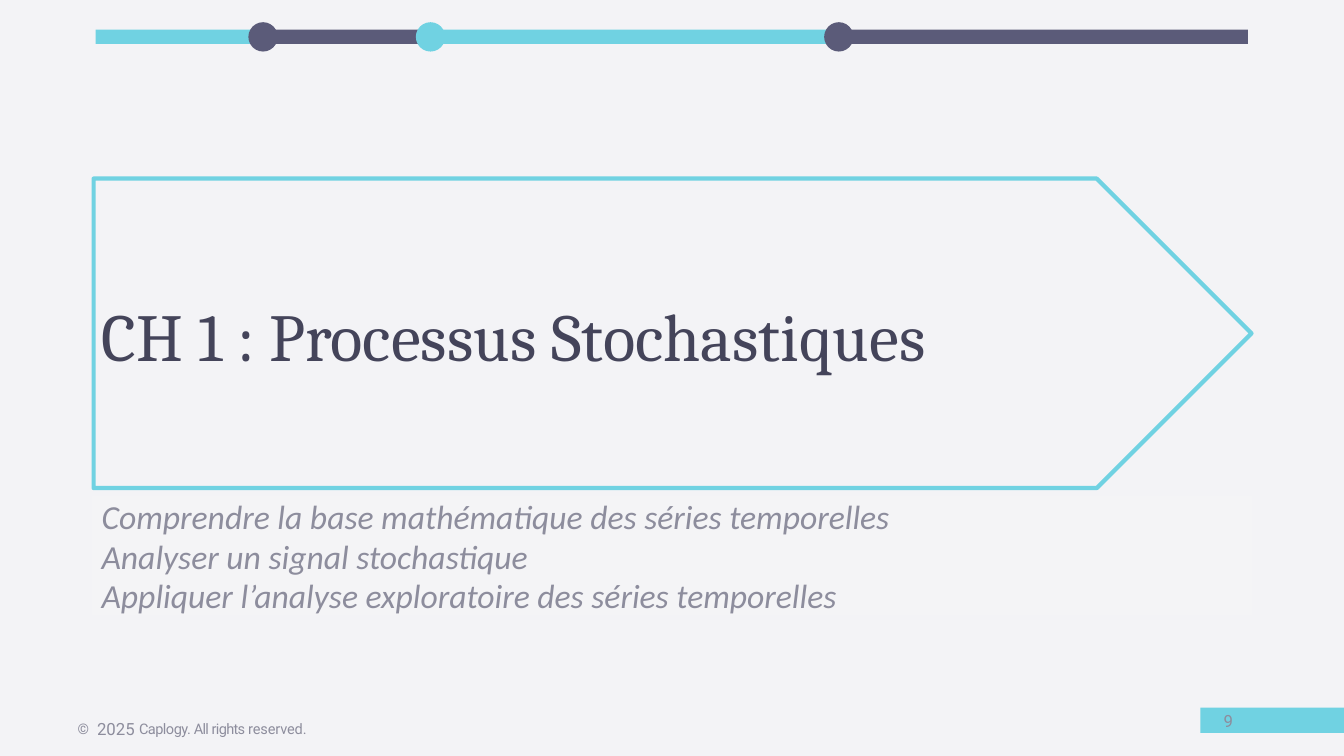
from dataclasses import dataclass
from itertools import pairwise

from pptx import Presentation
from pptx.dml.color import RGBColor
from pptx.enum.shapes import MSO_SHAPE
from pptx.enum.text import MSO_ANCHOR, MSO_AUTO_SIZE, PP_ALIGN
from pptx.util import Cm, Pt

HUES = {
    "back": "F3F3F6",
    "panel": "F4F4F6",
    "aqua": "70D2E2",
    "plum": "5B5B79",
    "title": "44445A",
    "grey": "8D8D9D",
}
JOINTS = [2.41, 6.63, 10.85, 21.14, 31.45]
DOT = 0.74
BAR = 0.36
AXIS = 0.93


@dataclass
class Box:
    left: float
    top: float
    width: float
    height: float

    def cm(self) -> list:
        return [Cm(v) for v in (self.left, self.top, self.width, self.height)]


@dataclass
class Run:
    text: str
    size: float
    font: str
    hue: str = "grey"
    italic: bool = False
    track: float = 0
    lift: int = 0


@dataclass
class Note:
    box: Box
    lines: list[list[Run]]
    pitch: float | None = None
    inset: float = 0.03


def tint(name: str) -> RGBColor:
    return RGBColor.from_string(HUES[name])


def draw(slide, kind, box: Box, fill: str | None = None, line: str | None = None):
    shape = slide.shapes.add_shape(kind, *box.cm())
    shape.shadow.inherit = False
    if fill:
        shape.fill.solid()
        shape.fill.fore_color.rgb = tint(fill)
    else:
        shape.fill.background()
    if line:
        shape.line.color.rgb = tint(line)
        shape.line.width = Pt(3)
    else:
        shape.line.fill.background()
    return shape


def write(shape, note: Note) -> None:
    frame = shape.text_frame
    frame.word_wrap = True
    frame.auto_size = MSO_AUTO_SIZE.NONE
    frame.vertical_anchor = MSO_ANCHOR.TOP
    frame.margin_left = Cm(note.inset)
    frame.margin_right = frame.margin_bottom = 0
    frame.margin_top = Cm(0.03)
    for i, runs in enumerate(note.lines):
        para = frame.add_paragraph() if i else frame.paragraphs[0]
        para.alignment = PP_ALIGN.LEFT
        para.space_before = Pt(0)
        para.line_spacing = Pt(note.pitch) if note.pitch else 1.0
        for item in runs:
            run = para.add_run()
            run.text = item.text
            font = run.font
            font.size = Pt(item.size)
            font.name = item.font
            font.italic = item.italic
            font.color.rgb = tint(item.hue)
            props = run._r.get_or_add_rPr()
            if item.track:
                props.set("spc", str(round(item.track * 100)))
            if item.lift:
                props.set("baseline", str(item.lift * 1000))


def label(slide, note: Note) -> None:
    write(slide.shapes.add_textbox(*note.box.cm()), note)


def strip(slide) -> None:
    hues = ["aqua", "plum", "aqua", "plum"]
    for (start, end), hue in zip(pairwise(JOINTS), hues):
        bar = Box(start, AXIS - BAR / 2, end - start, BAR)
        draw(slide, MSO_SHAPE.RECTANGLE, bar, hue)
    for mid, hue in zip(JOINTS[1:-1], ["plum", "aqua", "plum"]):
        dot = Box(mid - DOT / 2, AXIS - DOT / 2, DOT, DOT)
        draw(slide, MSO_SHAPE.OVAL, dot, hue)


def main() -> None:
    """Build the chapter opening slide and save it."""
    deck = Presentation()
    deck.slide_width, deck.slide_height = Cm(33.87), Cm(19.05)
    slide = deck.slides.add_slide(deck.slide_layouts[5])
    slide.background.fill.solid()
    slide.background.fill.fore_color.rgb = tint("back")

    strip(slide)
    draw(slide, MSO_SHAPE.RECTANGLE, Box(30.25, 17.83, 3.62, 0.64), "aqua")
    draw(slide, MSO_SHAPE.PENTAGON, Box(2.36, 4.5, 29.18, 7.8), line="aqua")

    head = Note(Box(2.54, 7.39, 26.26, 2.08),
                [[Run("CH 1 : Processus Stochastiques", 48, "Cambria", "title")]])
    title = slide.shapes.title
    title.left, title.top, title.width, title.height = head.box.cm()
    write(title, head)

    goals = [
        "Comprendre la base mathématique des séries temporelles",
        "Analyser un signal stochastique",
        "Appliquer l’analyse exploratoire des séries temporelles",
    ]
    lines = [[Run(goal, 24, "Calibri", italic=True)] for goal in goals]
    aims = Note(Box(2.31, 12.5, 29.24, 3), lines, 28.1, 0.25)
    write(draw(slide, MSO_SHAPE.RECTANGLE, aims.box, "panel"), aims)

    legal = [
        Run("© ", 18, "Roboto", track=1.5, lift=2),
        Run("2025 ", 12, "Roboto"),
        Run("Caplogy. ", 18, "Roboto", track=-0.4, lift=2),
        Run("All ", 18, "Roboto", track=-0.6, lift=2),
        Run("rights ", 18, "Roboto", track=-0.5, lift=2),
        Run("reserved.", 18, "Roboto", track=-0.1, lift=2),
    ]
    label(slide, Note(Box(1.93, 17.86, 6.86, 0.61), [legal]))
    page = [Run("9", 12, "Roboto", track=-0.2)]
    label(slide, Note(Box(30.81, 17.88, 0.64, 0.58), [page]))
    deck.save("out.pptx")


if __name__ == "__main__":
    main()
